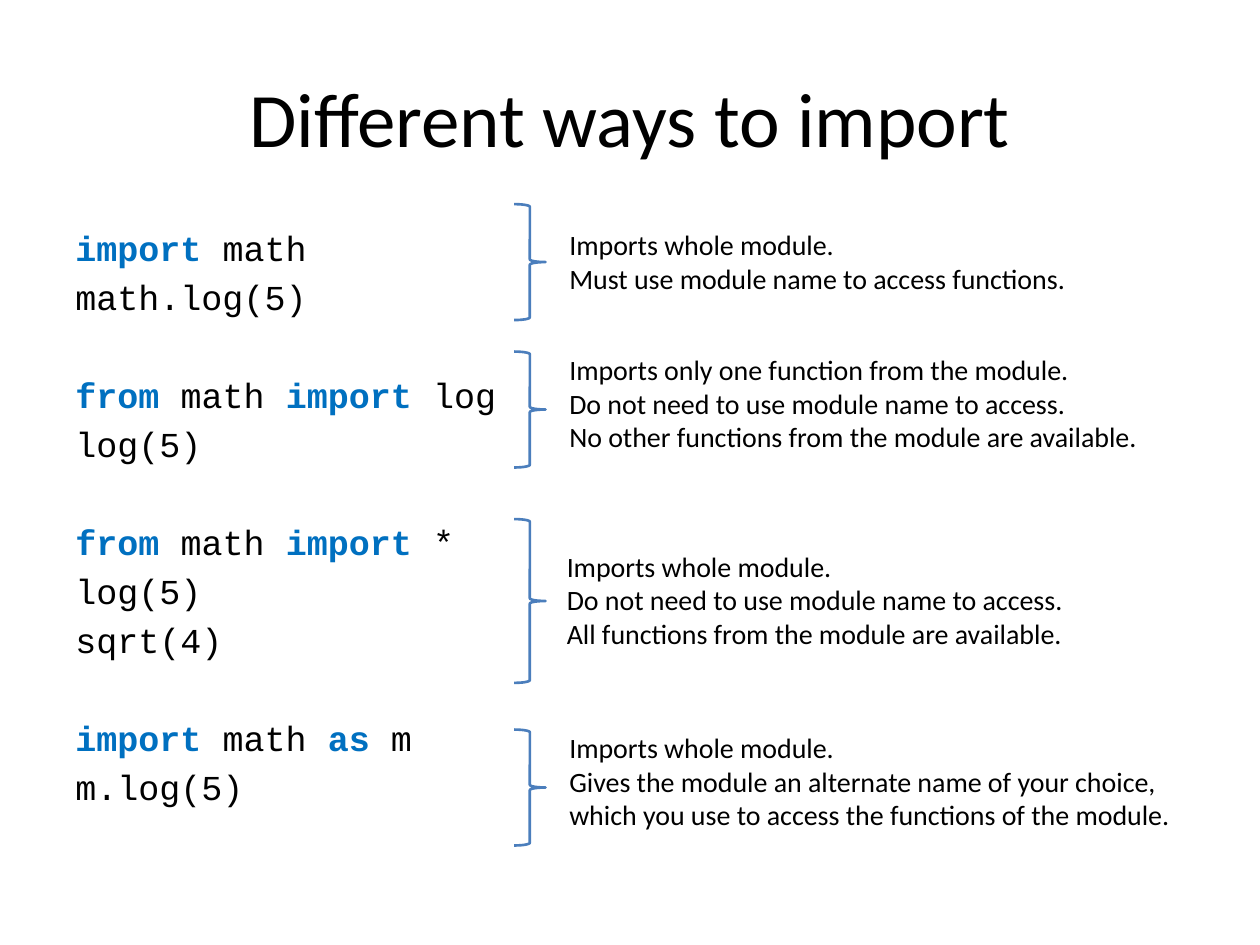
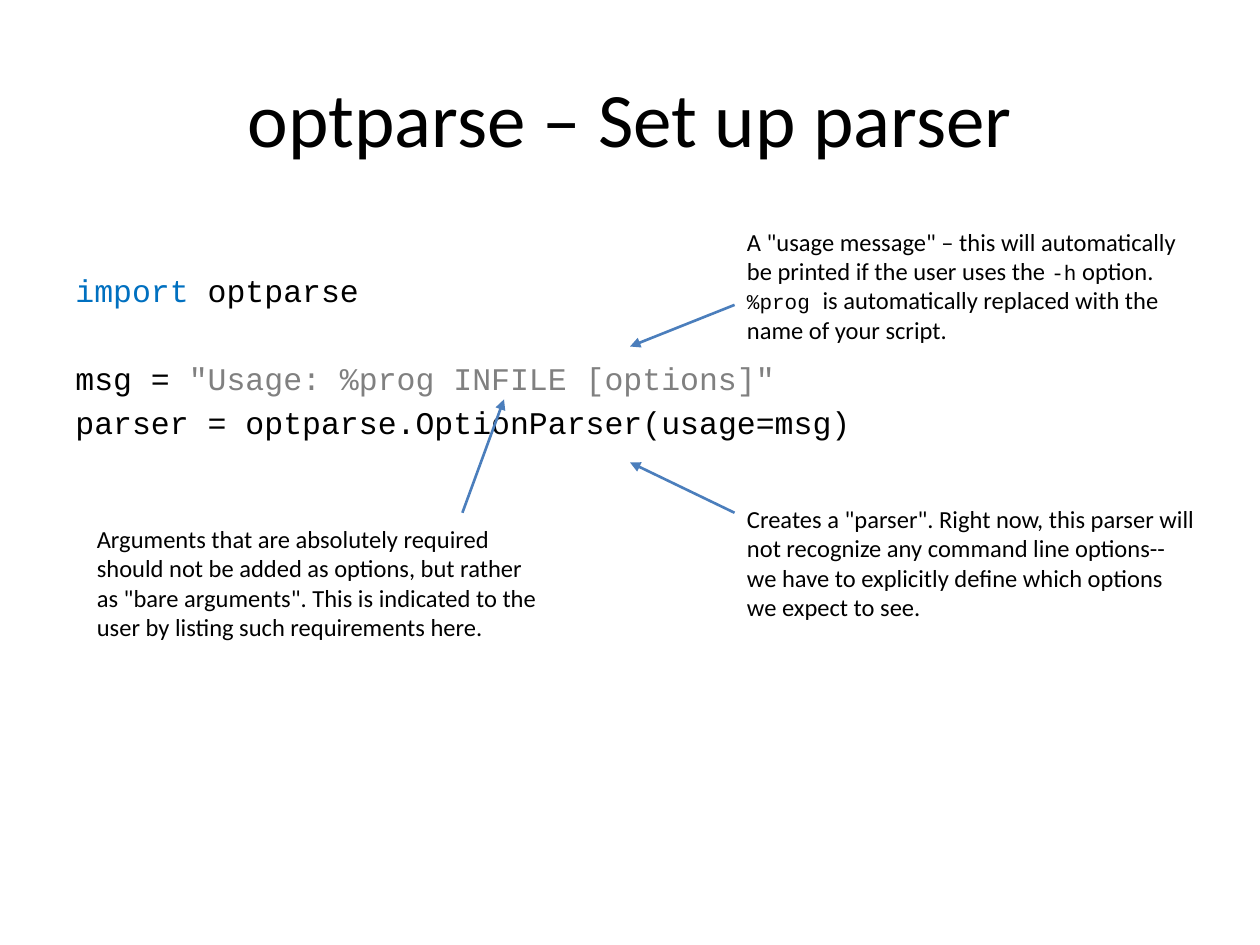
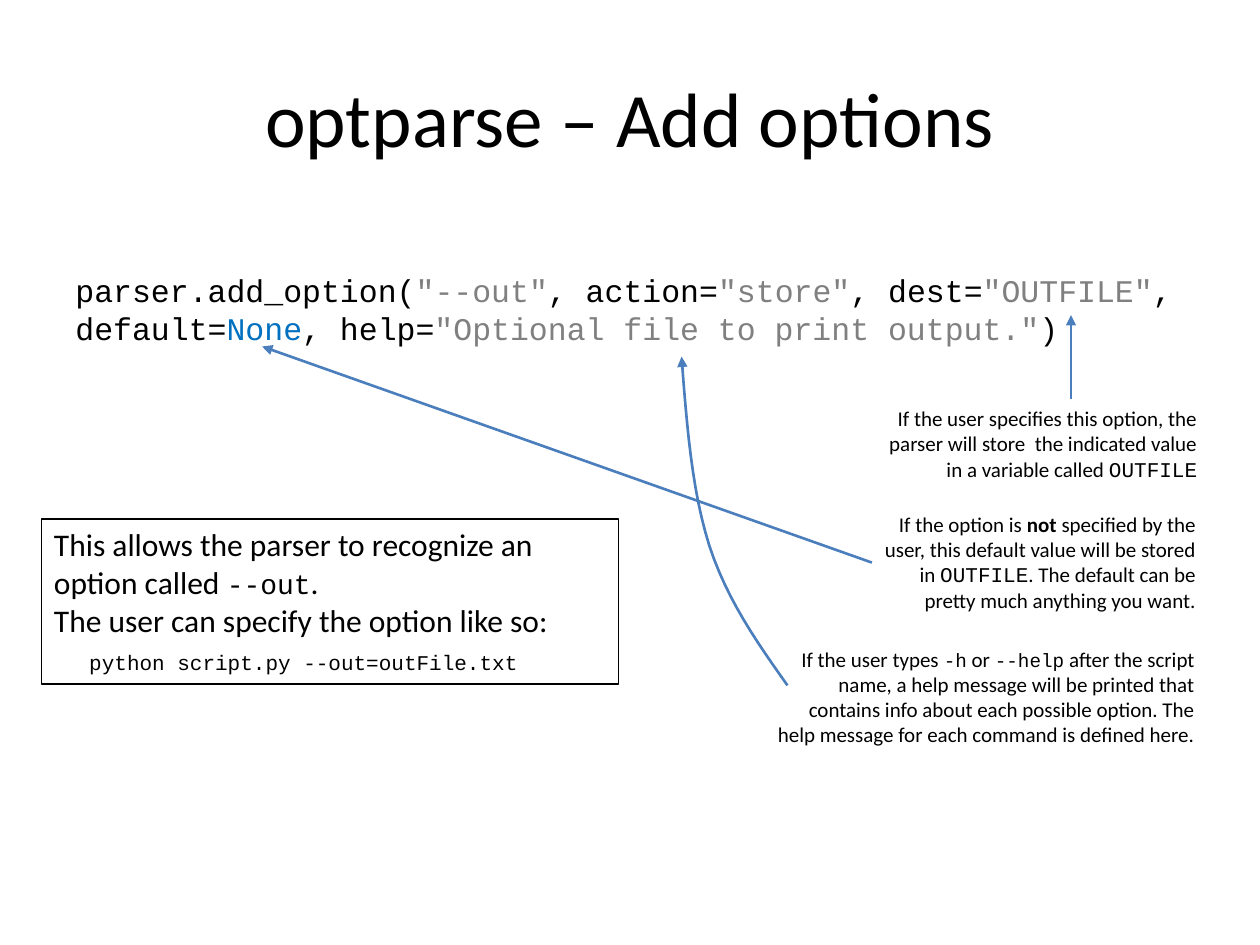
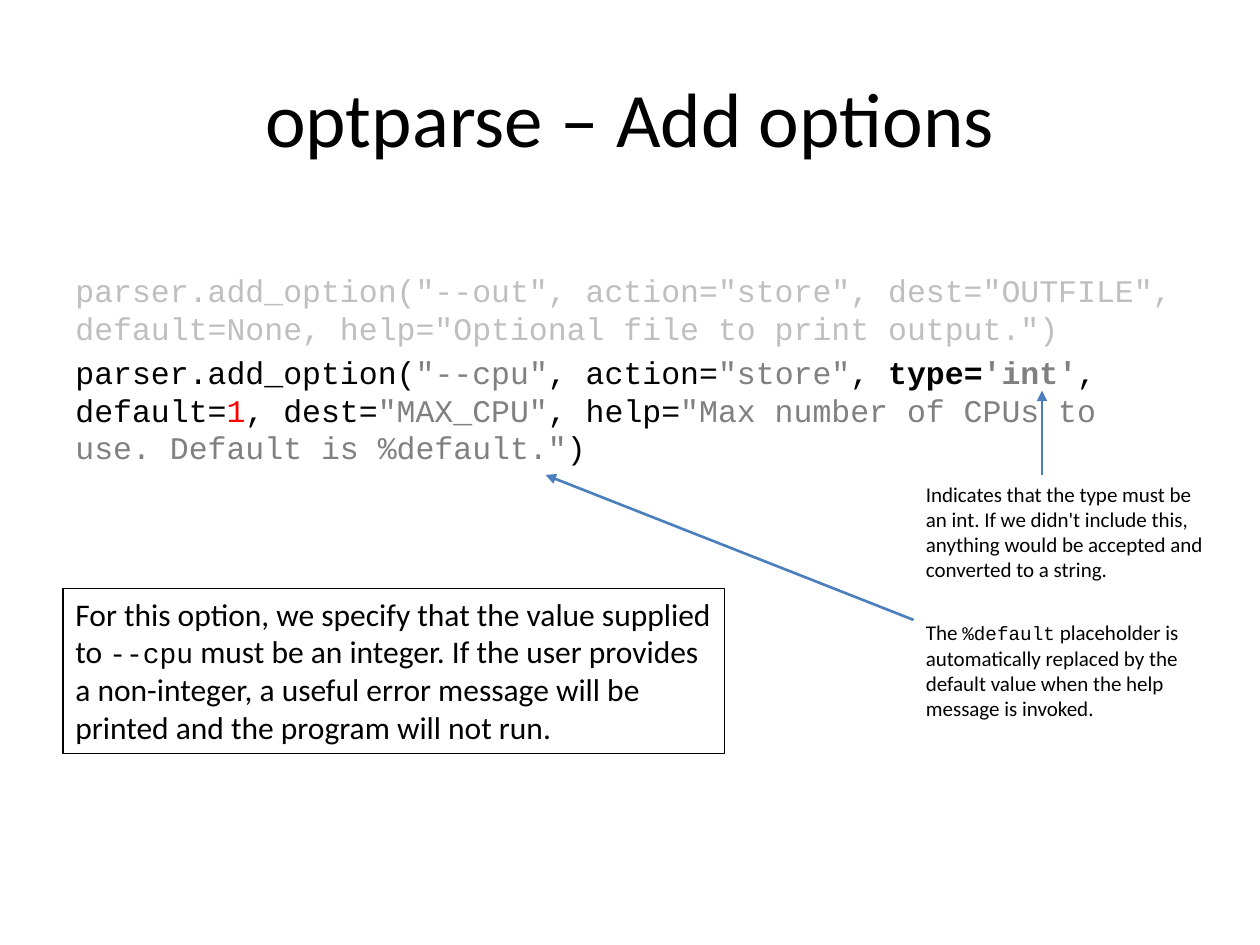
from lxml import etree
from pptx import Presentation
from pptx.dml.color import RGBColor
from pptx.enum.shapes import MSO_CONNECTOR, MSO_SHAPE
from pptx.enum.text import MSO_ANCHOR, PP_ALIGN
from pptx.oxml.ns import qn
from pptx.util import Inches, Pt

COLORS = {"text": "000000", "accent": "4B7EBC", "keyword": "0070C0",
          "string": "808080", "faded": "BFBFBF", "number": "FF0000"}
PROSE, MONO = "Calibri", "Courier New"
BODY = (0.5, 1.75, 9, 4.95)
BODY_TOP = 0.4  # top inset of the code that starts one line lower

# Formats that a run can name to differ from the rest of its text
RUN_STYLES = {
    "keyword": {"color": "keyword"},
    "bold keyword": {"color": "keyword", "bold": True},
    "string": {"color": "string"},
    "bold string": {"color": "string", "bold": True},
    "faded": {"color": "faded"},
    "number": {"color": "number"},
    "bold": {"bold": True},
    "mono 11": {"font": MONO, "size": 11},
    "mono 12": {"font": MONO, "size": 12},
    "mono 16": {"font": MONO, "size": 16},
}


def write(slide, box, paragraphs, align=PP_ALIGN.LEFT, anchor=MSO_ANCHOR.TOP,
          top=0.05, space=0, gaps=(), gap=0, framed=False, **base):
    """Add a text box; a paragraph is a list of strings and (string, style) pairs.

    Paragraphs whose index is in gaps get gap points before them, others space.
    """
    shape = slide.shapes.add_textbox(*map(Inches, box))
    if framed:
        shape.line.color.rgb = RGBColor.from_string(COLORS["text"])
        shape.line.width = Pt(0.75)
    frame = shape.text_frame
    frame.word_wrap = True
    frame.vertical_anchor = anchor
    frame.margin_top = Inches(top)
    for index, runs in enumerate(paragraphs):
        paragraph = frame.paragraphs[0] if index == 0 else frame.add_paragraph()
        paragraph.alignment = align
        paragraph.space_before = Pt(gap if index in gaps else space)
        for piece in runs:
            text, style = (piece, None) if isinstance(piece, str) else piece
            look = {"font": PROSE, "color": "text", "bold": False,
                    **base, **RUN_STYLES.get(style, {})}
            run = paragraph.add_run()
            run.text = text
            run.font.name = look["font"]
            run.font.size = Pt(look["size"])
            run.font.bold = look["bold"]
            run.font.color.rgb = RGBColor.from_string(COLORS[look["color"]])
    return shape


def style_arrow(arrow):
    """Give a line the accent colour and an arrowhead at its end, no shadow."""
    arrow.line.color.rgb = RGBColor.from_string(COLORS["accent"])
    arrow.line.width = Pt(1.5)
    properties = arrow._element.spPr
    etree.SubElement(properties.find(qn("a:ln")), qn("a:tailEnd"), type="triangle")
    etree.SubElement(properties, qn("a:effectLst"))


deck = Presentation()
deck.slide_width, deck.slide_height = Inches(10), Inches(7.5)

slides = []
for title in ["Different ways to import", "optparse – Set up parser",
              "optparse – Add options", "optparse – Add options"]:
    slide = deck.slides.add_slide(deck.slide_layouts[6])
    write(slide, (0.5, 0.3, 9, 1.25), [[title]], size=44,
          align=PP_ALIGN.CENTER, anchor=MSO_ANCHOR.MIDDLE)
    slides.append(slide)
imports, setup, out_option, cpu_option = slides

# Slide 1: each way to import, a brace, and what it does
IMPORT, FROM, AS = [(word, "bold keyword") for word in ("import", "from", "as")]
write(imports, BODY, [
    [IMPORT, " math"],
    ["math.log(5)"],
    [FROM, " math ", IMPORT, " log"],
    ["log(5)"],
    [FROM, " math ", IMPORT, " *"],
    ["log(5)"],
    ["sqrt(4)"],
    [IMPORT, " math ", AS, " m"],
    ["m.log(5)"],
], font=MONO, size=20, space=4, gaps=(2, 4, 7), gap=32)

WHOLE = "Imports whole module."
NO_PREFIX = "Do not need to use module name to access."
for brace_top, brace_height, note_box, lines in [
    (1.62, 0.92, (4.42, 1.76, 4.92, 0.64),
     [WHOLE, "Must use module name to access functions."]),
    (2.79, 0.92, (4.42, 2.75, 5.17, 0.91),
     ["Imports only one function from the module.", NO_PREFIX,
      "No other functions from the module are available."]),
    (4.12, 1.3, (4.4, 4.31, 5.17, 0.91),
     [WHOLE, NO_PREFIX, "All functions from the module are available."]),
    (5.79, 0.92, (4.42, 5.75, 5.17, 0.91),
     [WHOLE, "Gives the module an alternate name of your choice, "
             "which you use to access the functions of the module."]),
]:
    brace = imports.shapes.add_shape(
        MSO_SHAPE.RIGHT_BRACE, Inches(4.08), Inches(brace_top),
        Inches(0.25), Inches(brace_height))
    brace.shadow.inherit = False
    brace.fill.background()
    brace.line.color.rgb = RGBColor.from_string(COLORS["accent"])
    brace.line.width = Pt(1.5)
    write(imports, note_box, [[line] for line in lines], size=16)

# Slides 2 to 4: code
code_format = {"font": MONO, "size": 18, "top": BODY_TOP, "space": 3.6}
write(setup, BODY, [
    [("import ", "keyword"), "optparse"],
    ["msg = ", ('"Usage: %prog INFILE [options]"', "string")],
    ["parser = optparse.OptionParser(usage=msg)"],
], gaps=(1,), gap=28.8, **code_format)

add_out = ["parser.add_option(", ('"--out"', "string"), ", action=",
           ('"store"', "string"), ", dest=", ('"OUTFILE"', "string"),
           ", default=", ("None", "keyword"), ", help=",
           ('"Optional file to print output."', "string"), ")"]
write(out_option, BODY, [add_out], **code_format)

add_out_text = "".join(piece if isinstance(piece, str) else piece[0]
                       for piece in add_out)
write(cpu_option, BODY, [
    [(add_out_text, "faded")],
    ["parser.add_option(", ('"--cpu"', "string"), ", action=",
     ('"store"', "string"), ", ", ("type=", "bold"), ("'int'", "bold string"),
     ", default=", ("1", "number"), ", dest=", ('"MAX_CPU"', "string"),
     ", help=", ('"Max number of CPUs to use. Default is %default."', "string"),
     ")"],
], **code_format)

# Slides 3 and 4: framed explanations
usage = write(out_option, (0.33, 4.12, 4.58, 1.31), [
    ["This allows the parser to recognize an option called ",
     ("--out", "mono 16"), "."],
    ["The user can specify the option like so:"],
    [("python script.py --out=outFile.txt", "mono 12")],
], size=18, gaps=(2,), gap=6, framed=True)
command = usage.text_frame.paragraphs[2]
command._p.get_or_add_pPr().set("marL", str(Inches(0.28)))

write(cpu_option, (0.5, 4.67, 5.25, 1.31), [
    ["For this option, we specify that the value supplied to ",
     ("--cpu", "mono 16"),
     " must be an integer. If the user provides a non-integer, a useful error "
     "message will be printed and the program will not run."],
], size=18, framed=True)

# Slides 2 to 4: notes, each with the start and end of its arrow
LEFT, RIGHT = PP_ALIGN.LEFT, PP_ALIGN.RIGHT
for slide, size, align, note_box, runs, arrow_ends in [
    (setup, 14, LEFT, (5.83, 1.75, 3.67, 1.04),
     ['A "usage message" – this will automatically be printed if the user uses the ',
      ("-h", "mono 12"), " option. ", ("%prog ", "mono 12"),
      "is automatically replaced with the name of your script."],
     (5.83, 2.42, 5, 2.75)),
    (setup, 14, LEFT, (5.83, 3.95, 3.75, 1.04),
     ['Creates a "parser". Right now, this parser will not recognize any command '
      "line options--we have to explicitly define which options we expect to see."],
     (5.83, 4.07, 5, 3.67)),
    (setup, 14, LEFT, (0.67, 4.11, 3.75, 1.04),
     ["Arguments that are absolutely required should not be added as options, but "
      'rather as "bare arguments". This is indicated to the user by listing such '
      "requirements here."],
     (3.67, 4.07, 4, 3.17)),
    (out_option, 12, RIGHT, (6.93, 3.17, 2.67, 0.71),
     ["If the user specifies this option, the parser will store  the indicated "
      "value in a variable called ", ("OUTFILE", "mono 12")],
     (8.5, 3.17, 8.5, 2.5)),
    (out_option, 12, RIGHT, (6.92, 4.01, 2.67, 0.91),
     ["If the option is ", ("not", "bold"),
      " specified by the user, this default value will be stored in ",
      ("OUTFILE", "mono 12"),
      ". The default can be pretty much anything you want."],
     (6.92, 4.46, 2.08, 2.75)),
    (out_option, 12, RIGHT, (6, 5.08, 3.58, 0.91),
     ["If the user types ", ("-h", "mono 11"), " or ", ("--help", "mono 11"),
      " after the script name, a help message will be printed that contains info "
      "about each possible option. The help message for each command is defined "
      "here."],
     None),
    (cpu_option, 12, LEFT, (7.25, 3.77, 2.42, 0.91),
     ["Indicates that the type must be an int. If we didn't include this, anything "
      "would be accepted and converted to a string."],
     (8.27, 3.77, 8.27, 3.1)),
    (cpu_option, 12, LEFT, (7.25, 4.87, 2.42, 0.91),
     ["The ", ("%default", "mono 11"),
      " placeholder is automatically replaced by the default value when the help "
      "message is invoked."],
     (7.25, 4.92, 4.33, 3.77)),
]:
    note = write(slide, note_box, [runs], size=size, align=align)
    if arrow_ends:
        arrow = slide.shapes.add_connector(
            MSO_CONNECTOR.STRAIGHT, *map(Inches, arrow_ends))
        left, top, _, height = note_box
        start_x, start_y = arrow_ends[:2]
        if start_x == left and abs(start_y - top - height / 2) < 0.01:
            arrow.begin_connect(note, 1)
        style_arrow(arrow)

# Slide 3: curved arrow from the help note, along two Bézier curves
STEPS = 12
curve = [(6.25, 5.44)]
for controls in [
    [(6.25, 5.44), (6.01, 5.1), (5.77, 4.76), (5.63, 4.33)],
    [(5.63, 4.33), (5.49, 3.89), (5.45, 3.36), (5.41, 2.83)],
]:
    for step in range(1, STEPS + 1):
        t = step / STEPS
        weights = ((1 - t) ** 3, 3 * t * (1 - t) ** 2, 3 * t ** 2 * (1 - t), t ** 3)
        curve.append(tuple(sum(w * c for w, c in zip(weights, axis))
                           for axis in zip(*controls)))
curve = [(Inches(x), Inches(y)) for x, y in curve]
outline = out_option.shapes.build_freeform(*curve[0])
outline.add_line_segments(curve[1:], close=False)
help_arrow = outline.convert_to_shape()
help_arrow.fill.background()
style_arrow(help_arrow)

deck.save("out.pptx")
